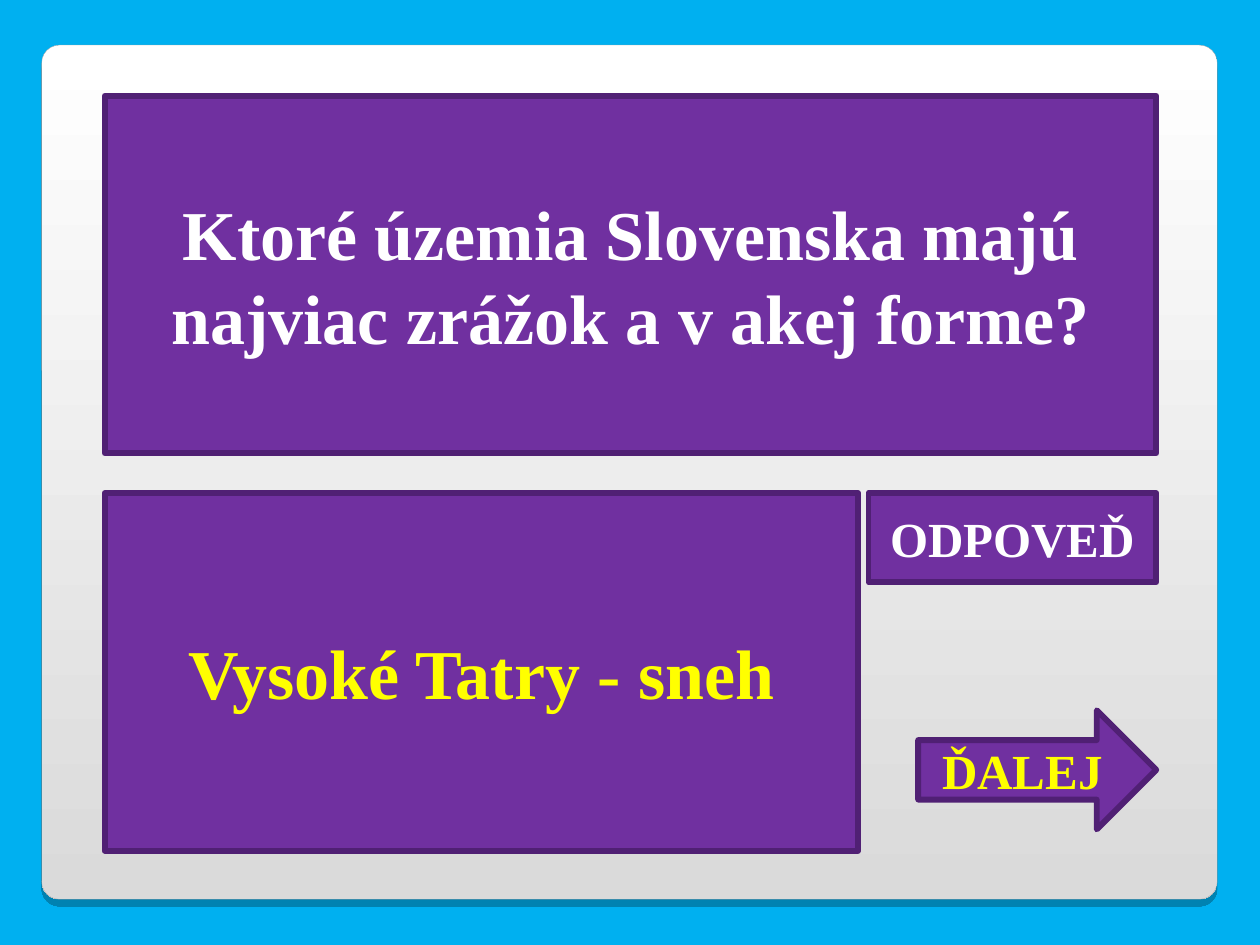
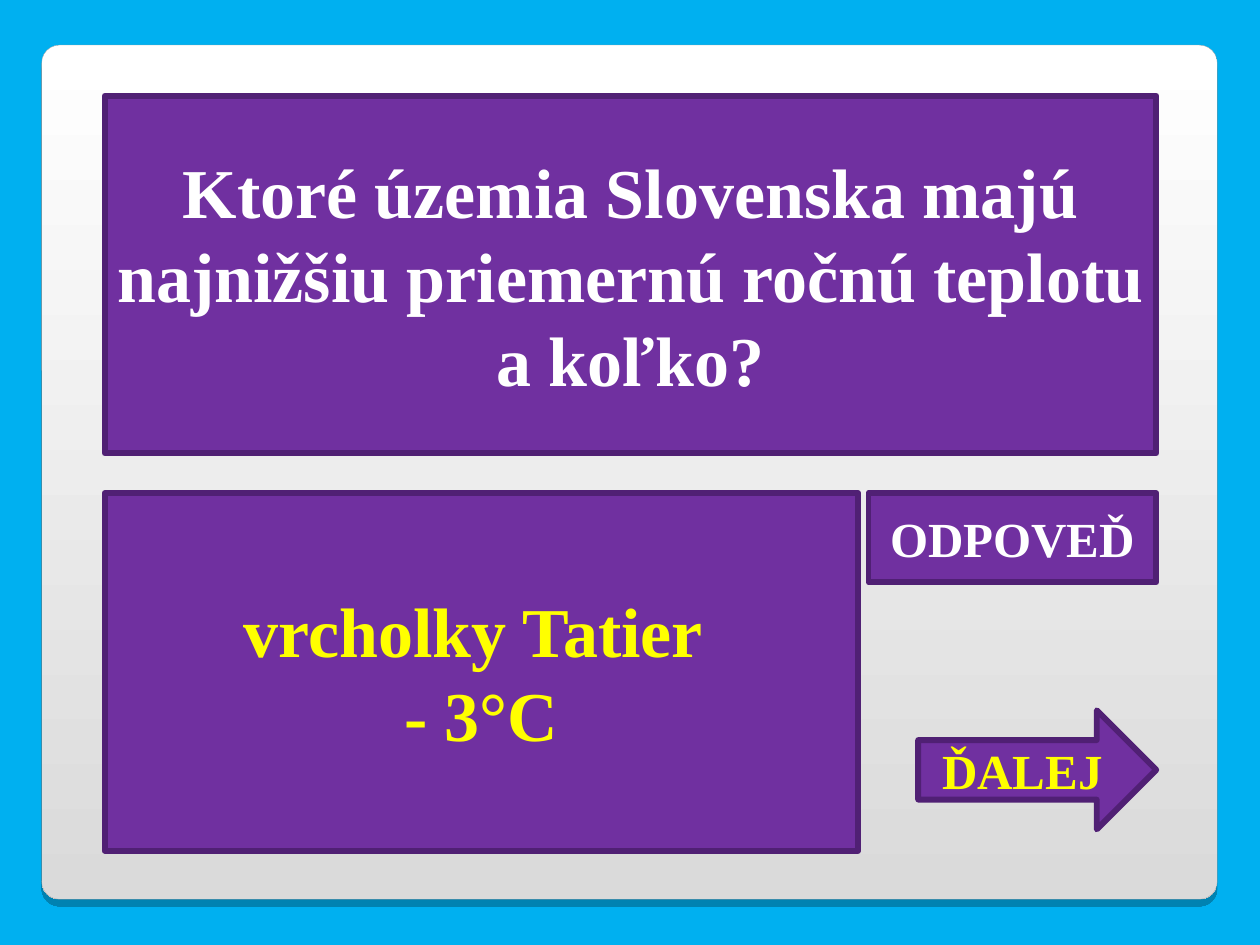
from lxml import etree
from pptx import Presentation
from pptx.dml.color import RGBColor
from pptx.enum import shapes, text
from pptx.oxml import ns
from pptx.util import Cm, Pt

SKY = RGBColor(0x00, 0xB0, 0xF0)
PURPLE = RGBColor(0x70, 0x30, 0xA0)
DARK_PURPLE = RGBColor(0x50, 0x20, 0x74)
WHITE = RGBColor(0xFF, 0xFF, 0xFF)
YELLOW = RGBColor(0xFF, 0xFF, 0x00)
SILVER = RGBColor(0xDA, 0xDA, 0xDA)
GREY = RGBColor(0xA4, 0xA3, 0xA3)
FONT = "Times New Roman"

PANEL = (0.84, 0.91, 23.7, 17.22)
CONTENT = (2.11, 1.93, 21.2, 15.22)  # left, top, width, height
CARD_HEIGHT = 7.21
BUTTON_SIZE = (5.8, 1.8)
ARROW_SIZE = (4.8, 2.4)
ARROW_LIFT = 0.43
GAP = 0.21

QUIZ = [
    ("Ktoré územia Slovenska majú najviac zrážok a v akej forme?",
     "Vysoké Tatry - sneh"),
    ("Ktoré územia Slovenska majú najnižšiu priemernú ročnú teplotu a koľko?",
     "vrcholky Tatier \n- 3°C"),
]


def add_soft_shadow(shape):
    shape.shadow.inherit = False
    effects = shape.element.spPr.find(ns.qn("a:effectLst"))
    shadow = etree.SubElement(effects, ns.qn("a:outerShdw"), blurRad="0",
                              dist=str(Pt(4)), dir="5400000", rotWithShape="0")
    color = etree.SubElement(shadow, ns.qn("a:srgbClr"), val="000000")
    etree.SubElement(color, ns.qn("a:alpha"), val="25000")


def move_panel_to_layout(page, box):
    """Draw the rounded panel and place it behind everything on the layout."""
    panel = page.shapes.add_shape(shapes.MSO_SHAPE.ROUNDED_RECTANGLE,
                                  *map(Cm, box))
    panel.adjustments[0] = 0.021
    panel.fill.gradient()
    panel.fill.gradient_angle = 270
    for stop, color in zip(panel.fill.gradient_stops, (WHITE, SILVER)):
        stop.color.rgb = color
    panel.line.color.rgb = GREY
    panel.line.width = Pt(0.17)
    add_soft_shadow(panel)
    page.slide_layout.shapes.element.insert(2, panel.element)


def style_card(shape, wording, size, color):
    shape.fill.solid()
    shape.fill.fore_color.rgb = PURPLE
    shape.line.color.rgb = DARK_PURPLE
    shape.line.width = Pt(3.34)
    frame = shape.text_frame
    frame.text = wording
    frame.word_wrap = True
    frame.auto_size = text.MSO_AUTO_SIZE.NONE
    frame.vertical_anchor = text.MSO_ANCHOR.MIDDLE
    for para in frame.paragraphs:
        para.alignment = text.PP_ALIGN.CENTER
        for span in para.runs:
            span.font.name = FONT
            span.font.size = Pt(size)
            span.font.bold = True
            span.font.color.rgb = color


def add_card(page, kind, box, wording, size, color):
    card = page.shapes.add_shape(kind, *map(Cm, box))
    card.shadow.inherit = False
    style_card(card, wording, size, color)


def set_question(page, box, wording):
    title = page.shapes.title
    title.left, title.top, title.width, title.height = map(Cm, box)
    style_card(title, wording, 40, WHITE)


def add_answer_area(page, box, answer):
    """Answer card on the left, button and arrow along the right edge."""
    left, top, width, height = box
    right, bottom = left + width, top + height
    button_width, button_height = BUTTON_SIZE
    arrow_width, arrow_height = ARROW_SIZE
    rectangle = shapes.MSO_SHAPE.RECTANGLE
    add_card(page, rectangle, (left, top, width - button_width - GAP, height),
             answer, 40, YELLOW)
    add_card(page, rectangle,
             (right - button_width, top, button_width, button_height),
             "ODPOVEĎ", 28, WHITE)
    add_card(page, shapes.MSO_SHAPE.RIGHT_ARROW,
             (right - arrow_width, bottom - ARROW_LIFT - arrow_height,
              arrow_width, arrow_height),
             "ĎALEJ", 28, YELLOW)


def build_quiz_page(page, box, question, answer):
    left, top, width, height = box
    set_question(page, (left, top, width, CARD_HEIGHT), question)
    add_answer_area(page, (left, top + height - CARD_HEIGHT, width, CARD_HEIGHT),
                    answer)


def main():
    deck = Presentation()
    deck.slide_width, deck.slide_height = Cm(25.4), Cm(19.05)
    backdrop = deck.slide_master.background.fill
    backdrop.solid()
    backdrop.fore_color.rgb = SKY
    layout = deck.slide_layouts.get_by_name("Title Only")
    pages = [deck.slides.add_slide(layout) for _ in QUIZ]
    move_panel_to_layout(pages[0], PANEL)
    for page, (question, answer) in zip(pages, QUIZ):
        build_quiz_page(page, CONTENT, question, answer)
    deck.save("out.pptx")


if __name__ == "__main__":
    main()
